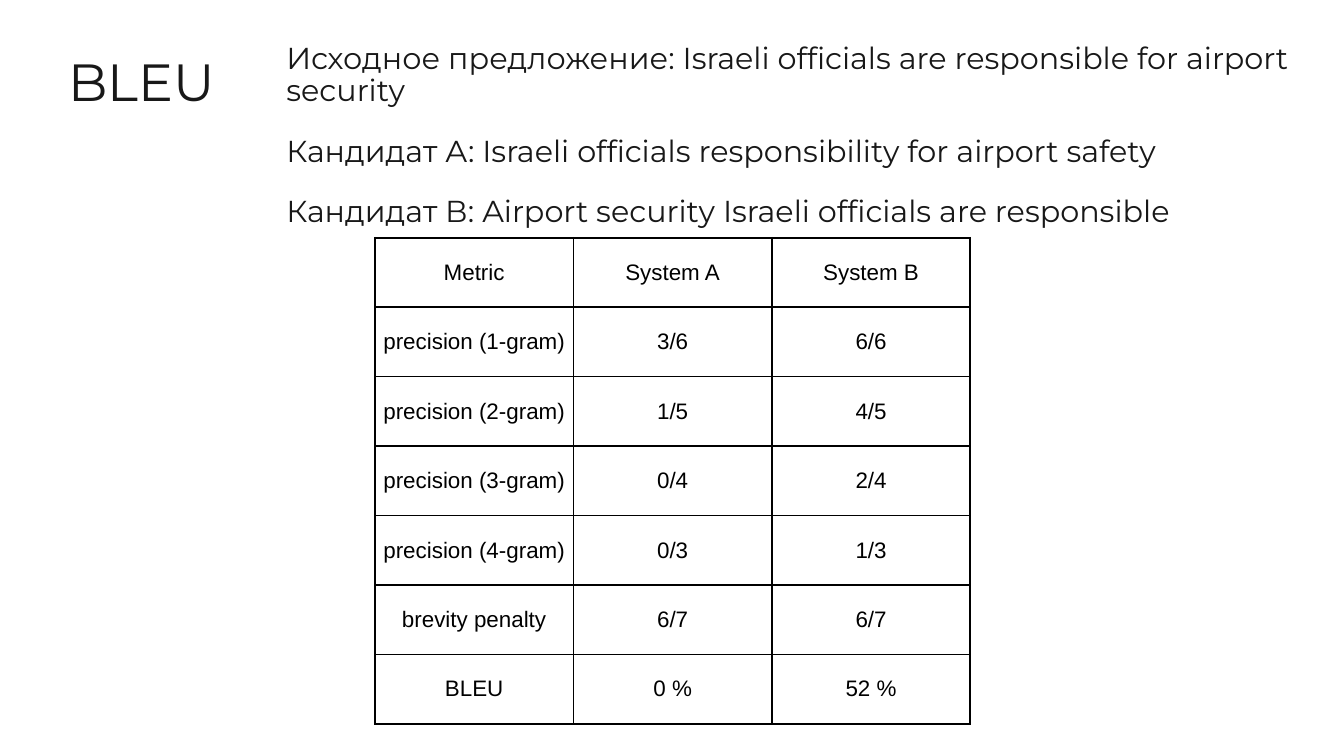
import pptx
import pptx.util
import pptx.dml.color
import pptx.enum.text
import pptx.oxml
import pptx.oxml.ns

Pt = pptx.util.Pt

TITLE = ["BLEU"]
LINES = [
    "Исходное предложение: Israeli officials are responsible for airport security",
    "Кандидат А: Israeli officials responsibility for airport safety",
    "Кандидат В: Airport security Israeli officials are responsible",
]
ROWS = [
    ("Metric", "System A", "System B"),
    ("precision (1-gram)", "3/6", "6/6"),
    ("precision (2-gram)", "1/5", "4/5"),
    ("precision (3-gram)", "0/4", "2/4"),
    ("precision (4-gram)", "0/3", "1/3"),
    ("brevity penalty", "6/7", "6/7"),
    ("BLEU", "0 %", "52 %"),
]
COLORS = {"text": "181818", "grid": "000000", "cell": "FFFFFF"}
SIDES = ("left", "top", "right", "bottom")
HEAD = {"name": "Montserrat", "size": Pt(28)}
BODY = {"name": "Montserrat", "size": Pt(16.2)}
CELL = {"name": "Arial", "size": Pt(12)}
COL_W, ROW_H = 106.3, 37.2


def rgb(key):
    return pptx.dml.color.RGBColor.from_string(COLORS[key])


def style(font, form, key):
    for name, value in form.items():
        setattr(font, name, value)
    font.color.rgb = rgb(key)


def add_text(slide, box, lines, form, pitch, gap=0):
    frame = slide.shapes.add_textbox(*map(Pt, box)).text_frame
    frame.word_wrap = True
    for side in SIDES:
        setattr(frame, "margin_" + side, Pt(1.4))
    for i, line in enumerate(lines):
        para = frame.add_paragraph() if i else frame.paragraphs[0]
        para.line_spacing = pitch
        para.space_before = Pt(gap if i else 0)
        run = para.add_run()
        run.text = line
        style(run.font, form, "text")


def add_edges(cell):
    """Draw a 1 pt line on all four sides; lines must precede the fill."""
    props = cell._tc.get_or_add_tcPr()
    for i, side in enumerate("LRTB"):
        props.insert(i, pptx.oxml.parse_xml(
            f'<a:ln{side} {pptx.oxml.ns.nsdecls("a")} w="{Pt(1)}">'
            f'<a:solidFill><a:srgbClr val="{COLORS["grid"]}"/></a:solidFill>'
            f'</a:ln{side}>'))


def fill_cell(cell, text):
    cell.fill.solid()
    cell.fill.fore_color.rgb = rgb("cell")
    cell.vertical_anchor = pptx.enum.text.MSO_ANCHOR.MIDDLE
    for side in SIDES:
        setattr(cell, "margin_" + side, Pt(0.7))
    para = cell.text_frame.paragraphs[0]
    para.alignment = pptx.enum.text.PP_ALIGN.CENTER
    run = para.add_run()
    run.text = text
    style(run.font, CELL, "grid")
    add_edges(cell)


def add_scores(slide, left, top):
    rows, cols = len(ROWS), len(ROWS[0])
    box = (left, top, cols * COL_W, rows * ROW_H)
    table = slide.shapes.add_table(rows, cols, *map(Pt, box)).table
    table.first_row = table.horz_banding = False
    for col in table.columns:
        col.width = Pt(COL_W)
    for row, texts in zip(table.rows, ROWS):
        row.height = Pt(ROW_H)
        for cell, text in zip(row.cells, texts):
            fill_cell(cell, text)


def main():
    deck = pptx.Presentation()
    deck.slide_width, deck.slide_height = Pt(720), Pt(405)
    slide = deck.slides.add_slide(deck.slide_layouts[6])
    add_text(slide, (35.3, 31.7, 648.7, 42.5), TITLE, HEAD, 0.8)
    add_text(slide, (152, 21.6, 548.6, 104.4), LINES, BODY, 0.9, 15)
    add_scores(slide, 200.9, 127.4)
    deck.save("out.pptx")


if __name__ == "__main__":
    main()
